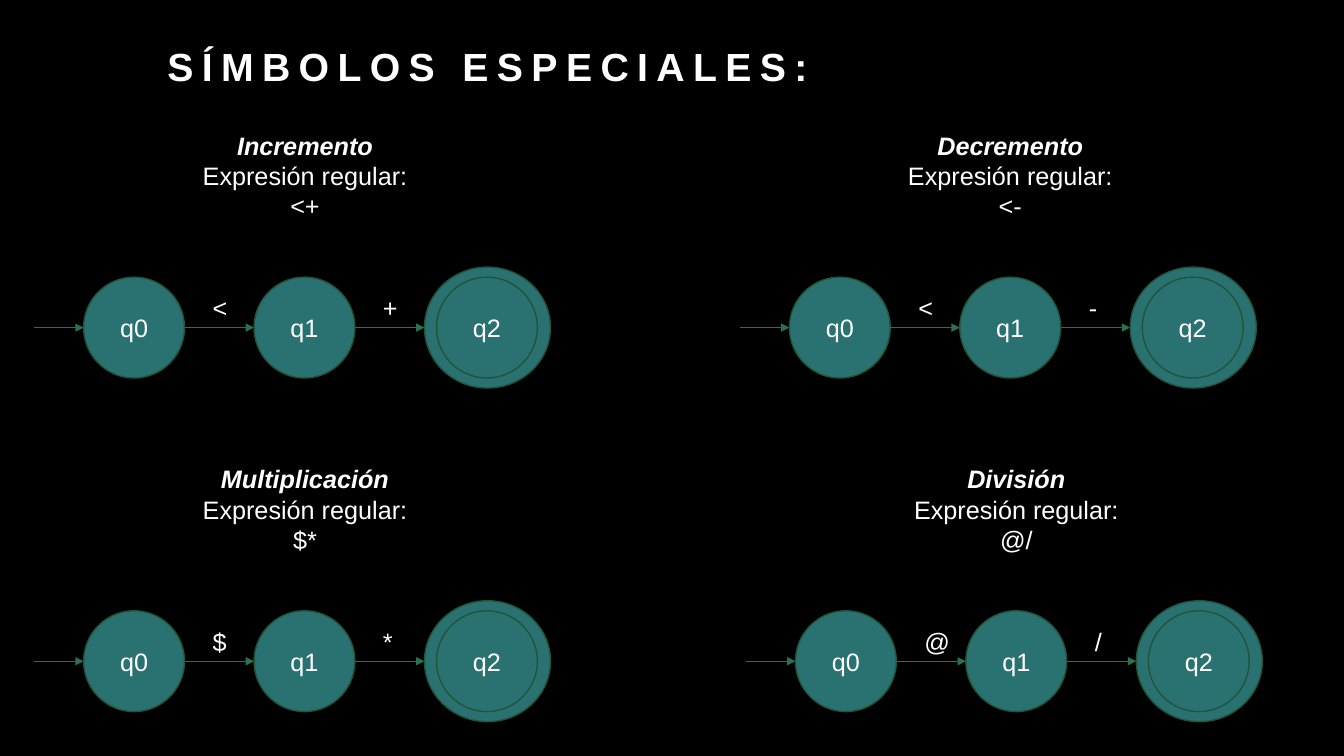
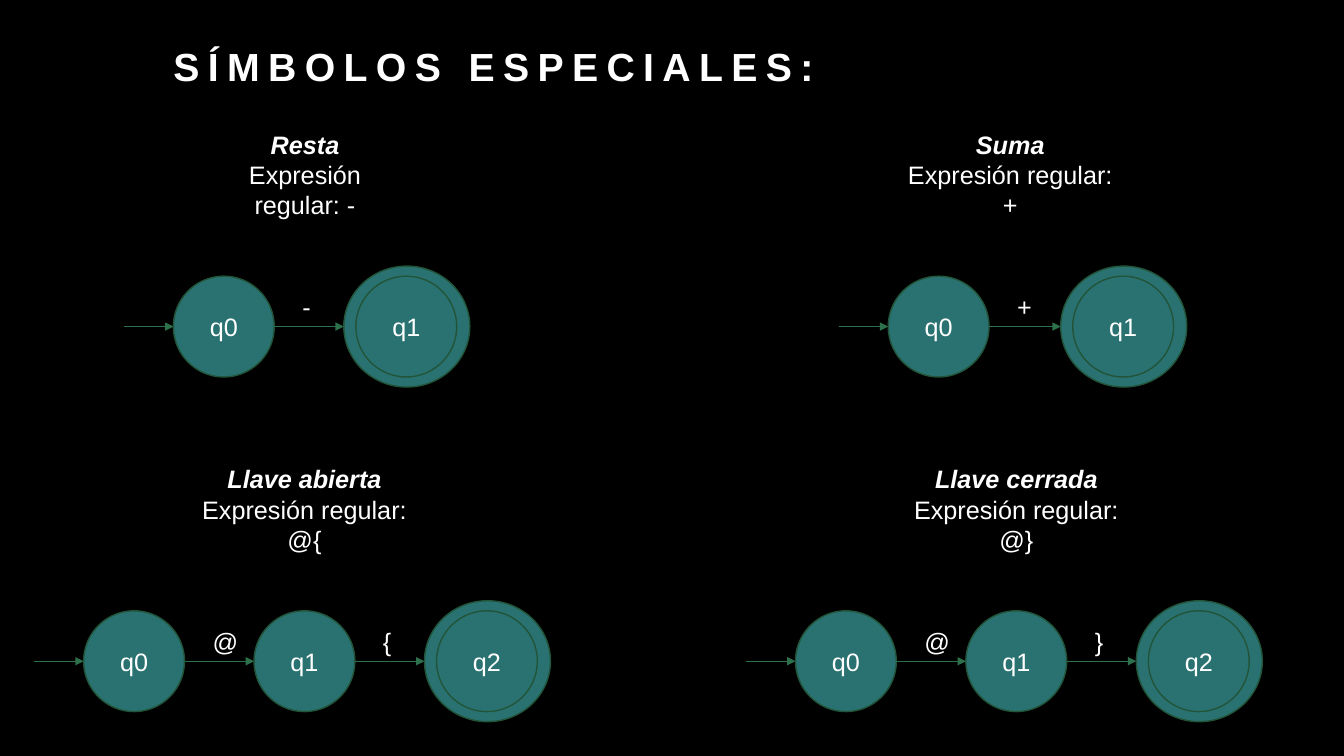
"""Build two slides of finite automata for special symbols."""
from lxml import etree
from pptx import Presentation
from pptx.dml.color import RGBColor
from pptx.enum.shapes import MSO_CONNECTOR, MSO_SHAPE
from pptx.enum.text import MSO_ANCHOR, MSO_AUTO_SIZE, PP_ALIGN
from pptx.oxml.ns import qn
from pptx.util import Emu, Pt

PX = 9144
SLIDE_WIDTH, SLIDE_HEIGHT = 1333, 750
TITLE_ONLY = 5

BLACK = RGBColor(0x00, 0x00, 0x00)
WHITE = RGBColor(0xFF, 0xFF, 0xFF)
TEAL = RGBColor(0x2A, 0x72, 0x71)
RIM_GREEN = RGBColor(0x21, 0x54, 0x38)
ARROW_GREEN = RGBColor(0x2D, 0x71, 0x4C)

ELLIPSE, STRAIGHT = MSO_SHAPE.OVAL, MSO_CONNECTOR.STRAIGHT
TOP, MIDDLE, BOTTOM = MSO_ANCHOR.TOP, MSO_ANCHOR.MIDDLE, MSO_ANCHOR.BOTTOM
LEFT, CENTER = PP_ALIGN.LEFT, PP_ALIGN.CENTER
FIXED, GROW = MSO_AUTO_SIZE.NONE, MSO_AUTO_SIZE.SHAPE_TO_FIT_TEXT

BODY_FONT = {"name": "Arial", "size": Pt(18), "bold": False, "italic": False}
NAME_FONT = {**BODY_FONT, "bold": True, "italic": True}
TITLE_FONT = {**BODY_FONT, "size": Pt(28), "bold": True}
TITLE_TRACKING = "600"

STATE, STEP, ENTRY = 100, 169, 49
RING_WIDTH, RING_HEIGHT = 125, 120
RING_INSET_X, RING_INSET_Y = 12, 10
SYMBOL_WIDTHS = {"-": 28, "{": 28, "}": 28, "/": 30, "@": 43}
CAPTION_RISE = 151

TITLE = "SÍMBOLOS ESPECIALES:"
SLIDES = [
    (156, [
        ("Incremento", "<+", 302, 237, 83, 275, STEP),
        ("Decremento", "<-", 1002, 232, 783, 275, STEP),
        ("Multiplicación", "$*", 302, 237, 83, 606, STEP),
        ("División", "@/", 1008, 244, 789, 606, STEP),
    ]),
    (162, [
        ("Resta", "-", 302, 219, 172, 274, STEP),
        ("Suma", "+", 1002, 224, 881, 274, 171),
        ("Llave abierta", "@{", 302, 242, 83, 606, STEP),
        ("Llave cerrada", "@}", 1008, 242, 789, 606, STEP),
    ]),
]


def scaled(*lengths):
    """Turn px lengths into EMU."""
    return [Emu(length * PX) for length in lengths]


class AutomataDeck:
    """Hold the deck style and the slide being drawn."""

    def __init__(self):
        """Start a black widescreen deck."""
        self.deck = Presentation()
        self.deck.slide_width, self.deck.slide_height = scaled(SLIDE_WIDTH, SLIDE_HEIGHT)
        fill = self.deck.slide_master.background.fill
        fill.solid()
        fill.fore_color.rgb = BLACK
        self.page = None

    def set_text(self, box, lines, align, anchor, auto_size=FIXED):
        """Set one paragraph per (text, font) pair and return the paragraphs."""
        frame = box.text_frame
        layout = {"word_wrap": True, "auto_size": auto_size, "vertical_anchor": anchor}
        for key, value in layout.items():
            setattr(frame, key, value)
        for index, (text, font) in enumerate(lines):
            para = frame.add_paragraph() if index else frame.paragraphs[0]
            para.alignment = align
            span = para.add_run()
            span.text = text
            for key, value in font.items():
                setattr(span.font, key, value)
            span.font.color.rgb = WHITE
        return frame.paragraphs

    def start_page(self, left):
        """Add a slide with its spaced-out title."""
        self.page = self.deck.slides.add_slide(self.deck.slide_layouts[TITLE_ONLY])
        box = self.page.shapes.title
        box.left, box.top, box.width, box.height = scaled(left, 0, 1010, 94)
        para = self.set_text(box, [(TITLE, TITLE_FONT)], LEFT, BOTTOM)[0]
        para.line_spacing = 1.2
        para.runs[0]._r.get_or_add_rPr().set("spc", TITLE_TRACKING)

    def text(self, left, top, width, height, lines, align):
        """Add a text box."""
        box = self.page.shapes.add_textbox(*scaled(left, top, width, height))
        self.set_text(box, lines, align, TOP, GROW)

    def ellipse(self, left, top, width, height, label=None):
        """Add a teal ellipse, labelled when it is a state."""
        shape = self.page.shapes.add_shape(ELLIPSE, *scaled(left, top, width, height))
        shape.shadow.inherit = False
        shape.fill.solid()
        shape.fill.fore_color.rgb = TEAL
        shape.line.color.rgb = RIM_GREEN
        shape.line.width = Pt(1)
        if label:
            self.set_text(shape, [(label, BODY_FONT)], CENTER, MIDDLE)

    def arrow(self, start, end, level):
        """Add a thin horizontal arrow."""
        arrow = self.page.shapes.add_connector(STRAIGHT, *scaled(start, level, end, level))
        arrow.line.color.rgb = ARROW_GREEN
        arrow.line.width = Pt(0.5)
        properties = arrow._element.spPr
        etree.SubElement(properties.get_or_add_ln(), qn("a:tailEnd"), type="triangle")
        etree.SubElement(properties, qn("a:effectLst"))

    def automaton(self, name, symbols, center, width, left, top, step):
        """Draw a caption and the chain of states that reads the symbols."""
        caption = [(name, NAME_FONT), (f"Expresión regular: {symbols}", BODY_FONT)]
        self.text(center - width // 2, top - CAPTION_RISE, width, 71, caption, CENTER)
        level = top + STATE // 2
        self.arrow(left - ENTRY, left, level)
        for index, symbol in enumerate(symbols):
            state_left = left + step * index
            self.ellipse(state_left, top, STATE, STATE, f"q{index}")
            self.arrow(state_left + STATE, state_left + step, level)
            self.text(state_left + 118, top + 10, SYMBOL_WIDTHS.get(symbol, 33), 40,
                      [(symbol, BODY_FONT)], LEFT)
        ring_left = left + step * len(symbols)
        self.ellipse(ring_left, top - RING_INSET_Y, RING_WIDTH, RING_HEIGHT)
        self.ellipse(ring_left + RING_INSET_X, top, STATE, STATE, f"q{len(symbols)}")


def main():
    """Draw every slide and save the deck."""
    automata = AutomataDeck()
    for title_left, entries in SLIDES:
        automata.start_page(title_left)
        for entry in entries:
            automata.automaton(*entry)
    automata.deck.save("out.pptx")


if __name__ == "__main__":
    main()
